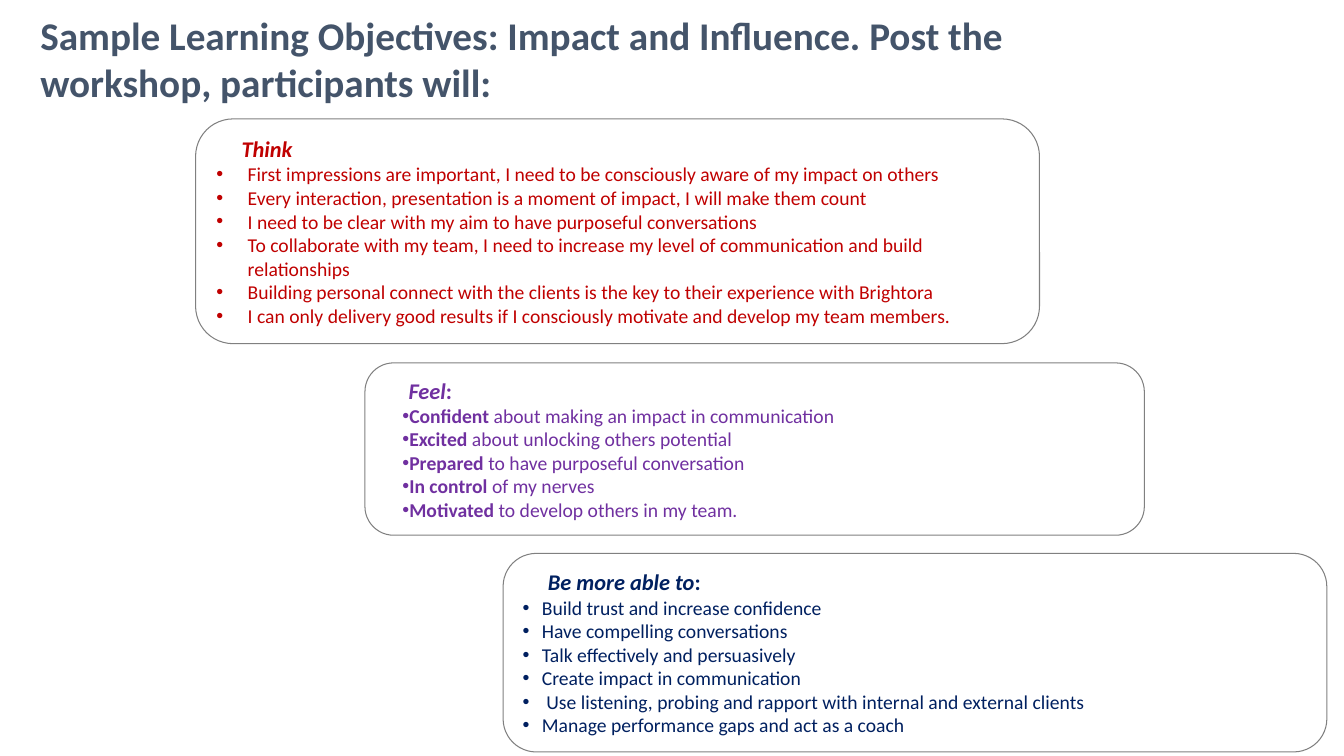
from lxml.etree import SubElement
from pptx import Presentation
from pptx.dml.color import RGBColor
from pptx.enum.shapes import MSO_SHAPE
from pptx.enum.text import MSO_ANCHOR, MSO_AUTO_SIZE, PP_ALIGN
from pptx.oxml.ns import qn
from pptx.util import Pt

PX = 9144
COLORS = {"title": "44546A", "border": "808080", "think": "C00000",
          "feel": "7030A0", "able": "002060"}

THINK = [
    ("", "First impressions are important, I need to be consciously aware of my impact on others"),
    ("", "Every interaction, presentation is a moment of impact, I will make them count"),
    ("", "I need to be clear with my aim to have purposeful conversations"),
    ("", "To collaborate with my team, I need to increase my level of communication and build relationships"),
    ("", "Building personal connect with the clients is the key to their experience with Brightora"),
    ("", "I can only delivery good results if I consciously motivate and develop my team members."),
]
FEEL = [
    ("Confident", " about making an impact in communication"),
    ("Excited", " about unlocking others potential"),
    ("Prepared", " to have purposeful conversation"),
    ("In control ", "of my nerves"),
    ("Motivated", " to develop others in my team."),
]
ABLE = [
    ("", "Build trust and increase confidence"),
    ("", "Have compelling conversations"),
    ("", "Talk effectively and persuasively"),
    ("", "Create impact in communication"),
    ("", " Use listening, probing and rapport with internal and external clients"),
    ("", "Manage performance gaps and act as a coach"),
]


def add_run(p, text, size=14, color="title", bold=False, italic=False):
    r = p.add_run()
    r.text = text
    r.font.name = "Calibri"
    r.font.size = Pt(size)
    r.font.bold = bold
    r.font.italic = italic
    r.font.color.rgb = RGBColor.from_string(COLORS[color])


def set_indent(p, left, first, bullet=False):
    p.alignment = PP_ALIGN.LEFT
    pPr = p._p.get_or_add_pPr()
    pPr.set("marL", str(left * PX))
    pPr.set("indent", str(first * PX))
    if bullet:
        SubElement(pPr, qn("a:buFont")).set("typeface", "Arial")
        SubElement(pPr, qn("a:buChar")).set("char", "•")


def set_frame(tf, side, edge):
    tf.word_wrap = True
    tf.auto_size = MSO_AUTO_SIZE.NONE
    tf.vertical_anchor = MSO_ANCHOR.MIDDLE
    tf.margin_left = tf.margin_right = side * PX
    tf.margin_top = tf.margin_bottom = edge * PX


def add_title(s, box, text):
    sp = s.shapes.title
    sp.left, sp.top, sp.width, sp.height = [v * PX for v in box]
    set_frame(sp.text_frame, 16, 5)
    p = sp.text_frame.paragraphs[0]
    p.alignment = PP_ALIGN.LEFT
    add_run(p, text, size=28, bold=True)


def add_panel(s, box, color, heading, suffix, items, left, first):
    sp = s.shapes.add_shape(MSO_SHAPE.ROUNDED_RECTANGLE, *[v * PX for v in box])
    sp.shadow.inherit = False
    sp.fill.background()
    sp.line.color.rgb = RGBColor.from_string(COLORS["border"])
    sp.line.width = Pt(0.75)
    tf = sp.text_frame
    set_frame(tf, 10, 5)
    p = tf.paragraphs[0]
    set_indent(p, 0, 25)
    add_run(p, heading, size=16, color=color, bold=True, italic=True)
    if suffix:
        add_run(p, suffix, size=16, color=color, bold=True)
    for lead, text in items:
        p = tf.add_paragraph()
        set_indent(p, left, first, bullet=True)
        if lead:
            add_run(p, lead, color=color, bold=True)
        add_run(p, text, color=color)


def main():
    prs = Presentation()
    prs.slide_width, prs.slide_height = 1333 * PX, 750 * PX
    s = prs.slides.add_slide(prs.slide_layouts[5])
    add_title(s, (24, 0, 1058, 115),
              "Sample Learning Objectives: Impact and Influence. Post the workshop, participants will:")
    add_panel(s, (194, 118, 837, 223), "think", "Think", "", THINK, 31, -31)
    add_panel(s, (362, 360, 773, 171), "feel", "Feel", ":", FEEL, 0, 19)
    add_panel(s, (499, 549, 817, 197), "able", "Be more able to", ":", ABLE, 19, -19)
    prs.save("out.pptx")


if __name__ == "__main__":
    main()
